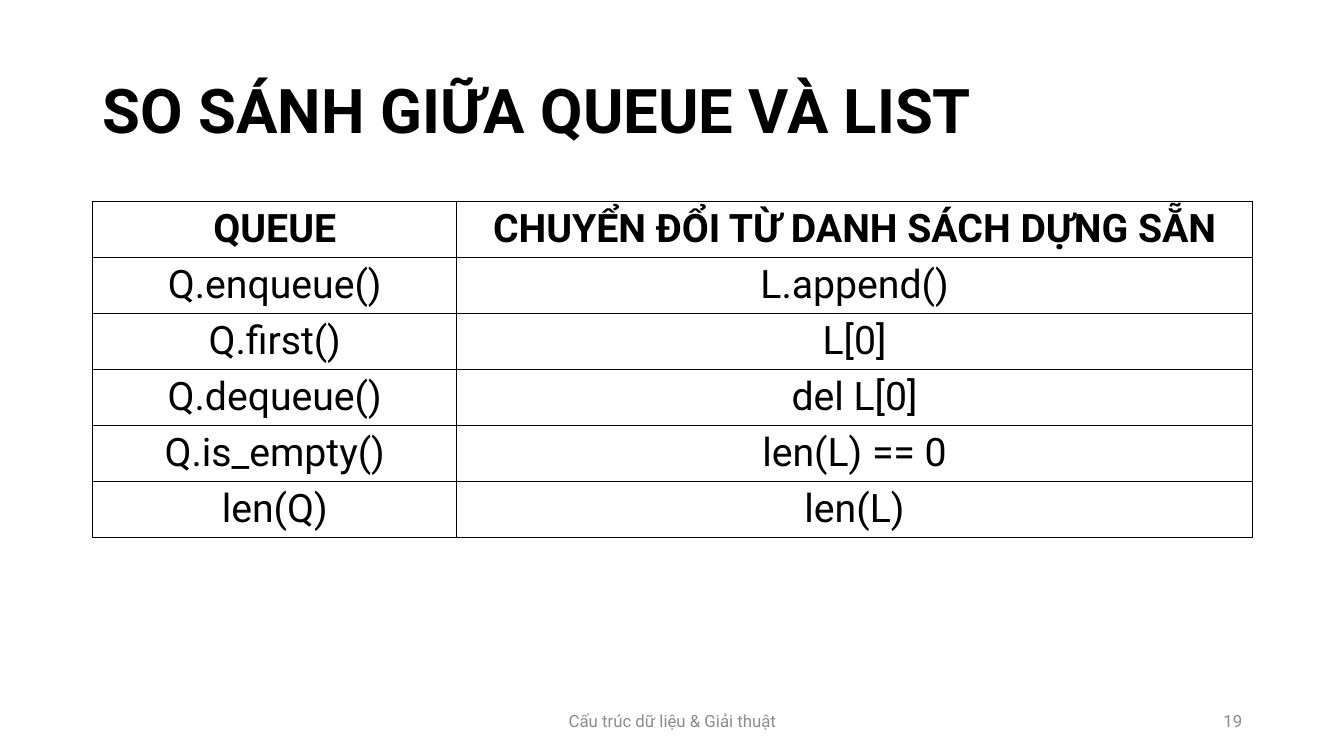
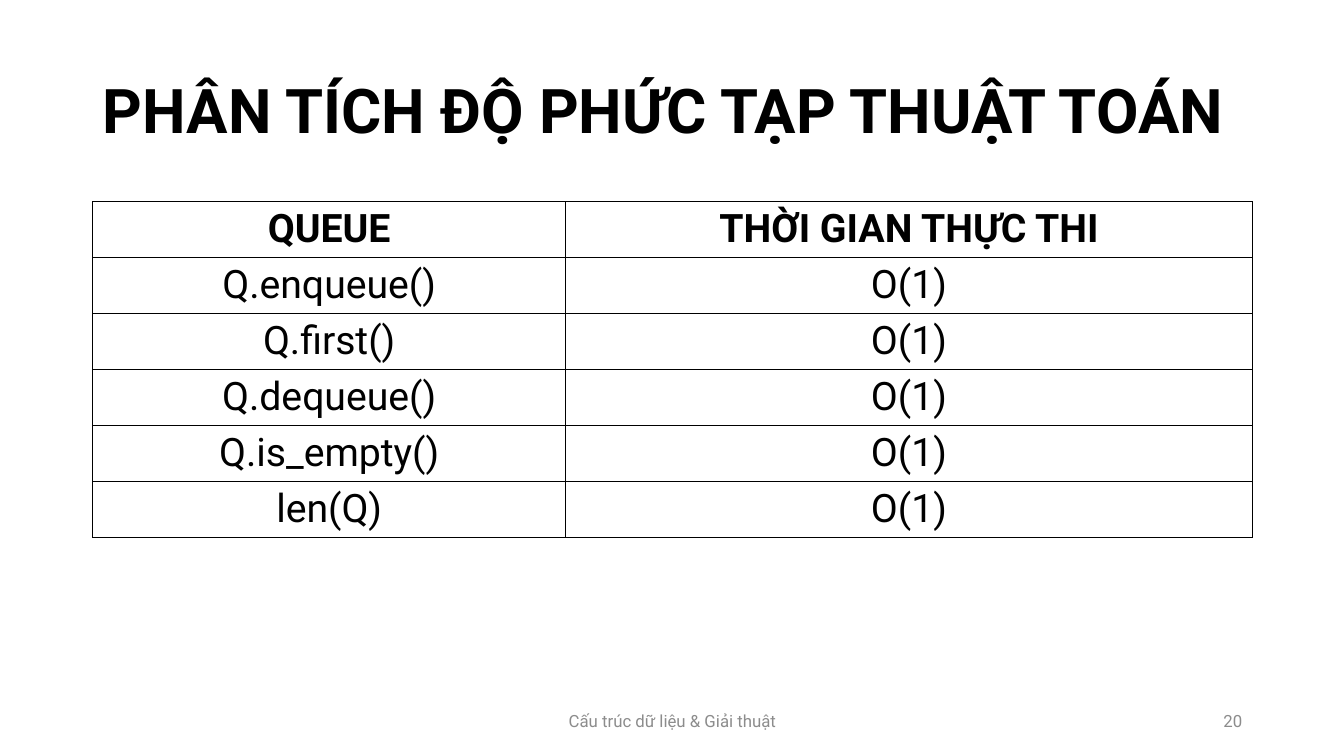
from lxml import etree
from pptx import Presentation
from pptx.dml.color import RGBColor
from pptx.enum.text import MSO_ANCHOR, MSO_AUTO_SIZE, PP_ALIGN
from pptx.oxml import parse_xml
from pptx.oxml.ns import nsdecls
from pptx.util import Inches, Pt

LEFT, CENTER, RIGHT = PP_ALIGN.LEFT, PP_ALIGN.CENTER, PP_ALIGN.RIGHT
MIDDLE = MSO_ANCHOR.MIDDLE
NO_AUTOFIT = MSO_AUTO_SIZE.NONE
TITLE_ONLY = 5

FONT = "Roboto"
COLORS = {"text": "000000", "paper": "FFFFFF", "footer": "8C8C8C"}
MARGIN, CONTENT_WIDTH = 0.92, 11.5
ROW_HEIGHT = 0.55
FIRST_PAGE_NUMBER = 19
FOOTER = "Cấu trúc dữ liệu & Giải thuật"

OPERATIONS = ["Q.enqueue()", "Q.first()", "Q.dequeue()", "Q.is_empty()", "len(Q)"]
LIST_CALLS = ["L.append()", "L[0]", "del L[0]", "len(L) == 0", "len(L)"]
PAGES = [
    {
        "title": "SO SÁNH GIỮA QUEUE VÀ LIST",
        "header": ("QUEUE", "CHUYỂN ĐỔI TỪ DANH SÁCH DỰNG SẴN"),
        "values": LIST_CALLS,
        "first_column": 3.61,
    },
    {
        "title": "PHÂN TÍCH ĐỘ PHỨC TẠP THUẬT TOÁN",
        "header": ("QUEUE", "THỜI GIAN THỰC THI"),
        "values": ["O(1)"] * len(OPERATIONS),
        "first_column": 4.69,
    },
]


def write_text(frame, text, size, color="text", bold=False, align=LEFT, spacing=None):
    """Write one formatted paragraph into a text frame."""
    frame.word_wrap = True
    para = frame.paragraphs[0]
    para.alignment = align
    para.line_spacing = spacing
    span = para.add_run()
    span.text = text
    span.font.name = FONT
    span.font.size = Pt(size)
    span.font.bold = bold
    span.font.color.rgb = RGBColor.from_string(COLORS[color])


def add_borders(cell):
    """Draw a thin line on all four sides of a table cell."""
    properties = cell._tc.get_or_add_tcPr()
    for index, side in enumerate(("lnL", "lnR", "lnT", "lnB")):
        line = parse_xml(f'<a:{side} {nsdecls("a")} w="{Pt(1)}"/>')
        fill = etree.SubElement(line, "{http://schemas.openxmlformats.org/drawingml/2006/main}solidFill")
        etree.SubElement(
            fill,
            "{http://schemas.openxmlformats.org/drawingml/2006/main}srgbClr",
            val=COLORS["text"],
        )
        properties.insert(index, line)


deck = Presentation()
deck.slide_width = Inches(13.33)
deck.slide_height = Inches(7.5)
background = deck.slide_master.background.fill
background.solid()
background.fore_color.rgb = RGBColor.from_string(COLORS["paper"])

for number, content in enumerate(PAGES, start=FIRST_PAGE_NUMBER):
    page = deck.slides.add_slide(deck.slide_layouts[TITLE_ONLY])

    title = page.shapes.title
    title.left, title.top = Inches(MARGIN), Inches(0.4)
    title.width, title.height = Inches(CONTENT_WIDTH), Inches(1.45)
    title.text_frame.auto_size = NO_AUTOFIT
    title.text_frame.vertical_anchor = MIDDLE
    write_text(title.text_frame, content["title"], 44, bold=True, spacing=0.9)

    rows = [content["header"], *zip(OPERATIONS, content["values"])]
    table = page.shapes.add_table(
        len(rows), 2, Inches(MARGIN), Inches(2),
        Inches(CONTENT_WIDTH), Inches(ROW_HEIGHT * len(rows)),
    ).table
    table.first_row = table.horz_banding = False
    table.columns[0].width = Inches(content["first_column"])
    table.columns[1].width = Inches(CONTENT_WIDTH - content["first_column"])
    for row_index, row in enumerate(rows):
        for column_index, text in enumerate(row):
            cell = table.cell(row_index, column_index)
            cell.fill.background()
            add_borders(cell)
            write_text(cell.text_frame, text, 28, bold=row_index == 0, align=CENTER)

    for text, left, width, align in (
        (FOOTER, 4.42, 4.5, CENTER),
        (str(number), 9.42, 3, RIGHT),
    ):
        box = page.shapes.add_textbox(Inches(left), Inches(6.95), Inches(width), Inches(0.4))
        box.text_frame.vertical_anchor = MIDDLE
        write_text(box.text_frame, text, 12, color="footer", align=align)

deck.save("out.pptx")
